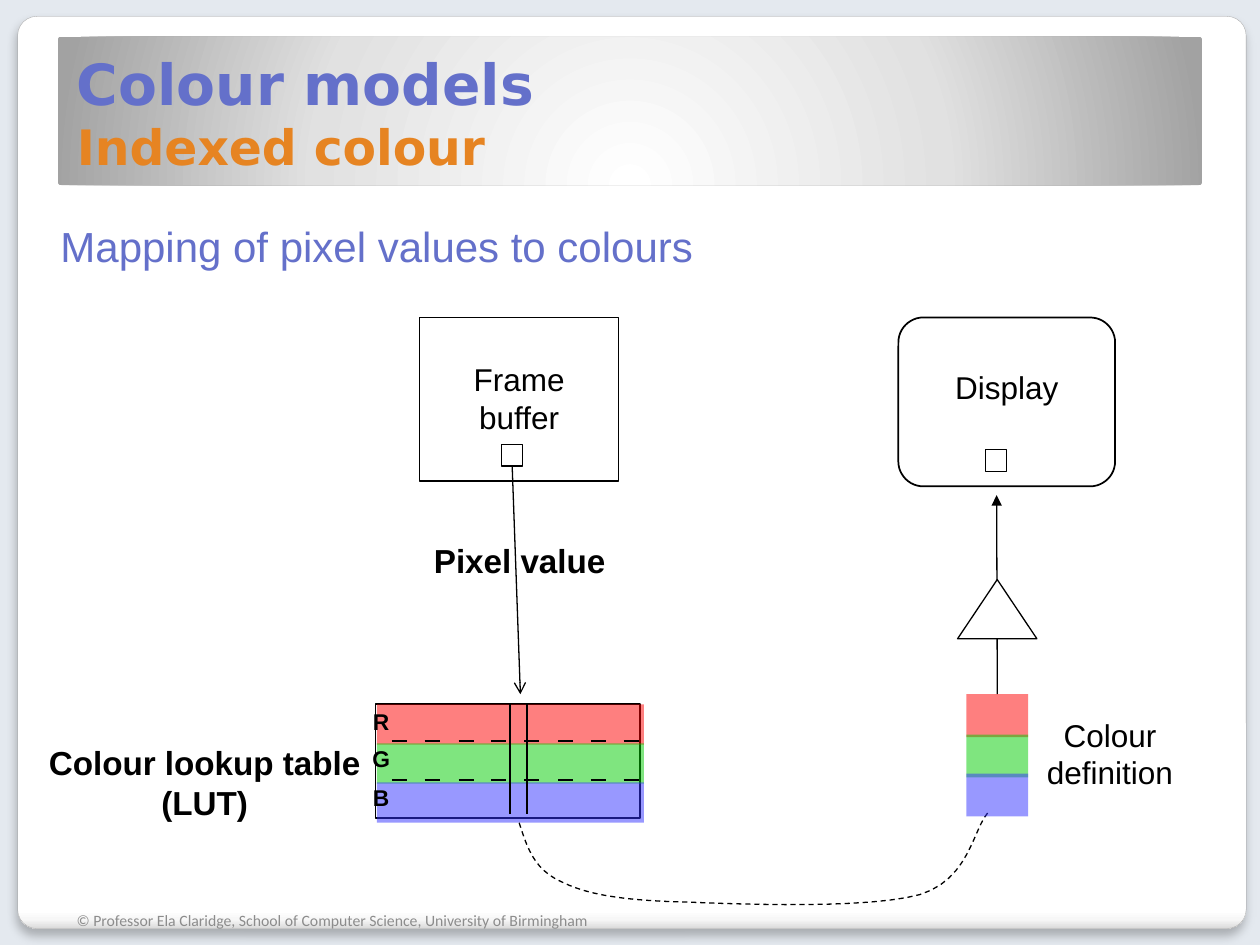
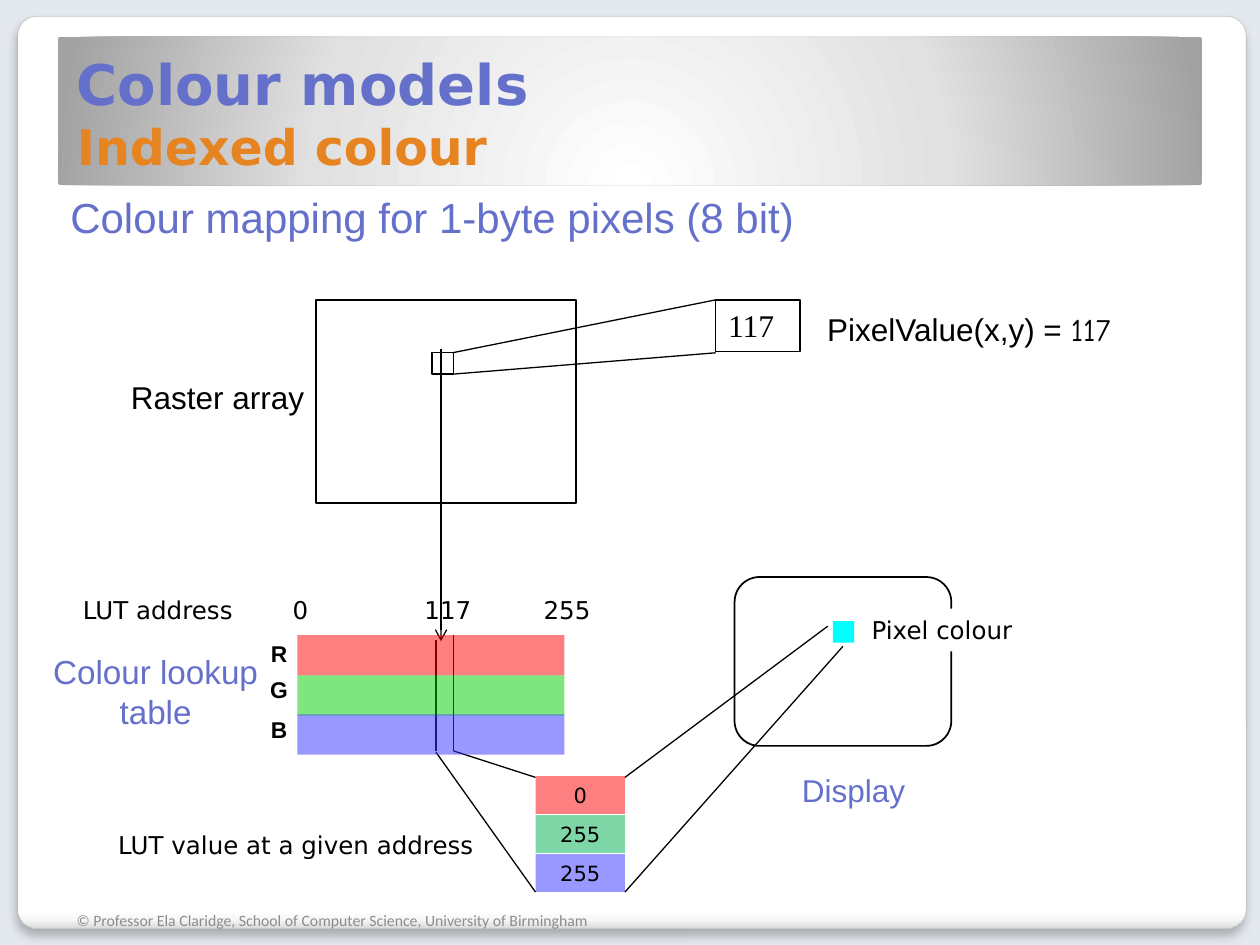
from copy import deepcopy
from dataclasses import dataclass

from pptx import Presentation
from pptx.dml.color import RGBColor
from pptx.enum.dml import MSO_LINE
from pptx.enum.shapes import MSO_CONNECTOR, MSO_SHAPE
from pptx.enum.text import MSO_ANCHOR, MSO_AUTO_SIZE, PP_ALIGN
from pptx.oxml import parse_xml
from pptx.oxml.ns import nsdecls, qn
from pptx.shapes.autoshape import Shape
from pptx.shapes.connector import Connector
from pptx.slide import Slide
from pptx.util import Pt

RECT, ROUND, PEAK = MSO_SHAPE.RECTANGLE, MSO_SHAPE.ROUNDED_RECTANGLE, MSO_SHAPE.ISOSCELES_TRIANGLE
LEFT, MID = PP_ALIGN.LEFT, PP_ALIGN.CENTER
TOP, CENTRE, BOTTOM = MSO_ANCHOR.TOP, MSO_ANCHOR.MIDDLE, MSO_ANCHOR.BOTTOM
STRAIGHT, DASH, FIXED = MSO_CONNECTOR.STRAIGHT, MSO_LINE.DASH, MSO_AUTO_SIZE.NONE
UNIT = 9144  # EMU in one px; 100 px to the inch

Area = tuple[int, int, int, int]
Point = tuple[float, float]


@dataclass(frozen=True)
class Theme:
    back: str = "E4E9EF"
    ink: str = "000000"
    paper: str = "FFFFFF"
    edge: str = "A4A4A4"
    blue: str = "6470CA"
    amber: str = "E68422"
    grey: str = "8C8C8C"
    cyan: str = "00FFFF"
    lut: tuple[str, ...] = ("FE0000", "00CC00", "3333FF")
    cells: tuple[str, ...] = ("FE0000", "00B050", "3333FF")
    sans: str = "Arial"
    wide: str = "DejaVu Sans"
    serif: str = "Times New Roman"
    comic: str = "Comic Neue"
    foot: str = "Calibri"
    tiny: int = 9
    cell: int = 12
    band: int = 13
    note: int = 14
    body: int = 18
    bold: int = 19
    head: int = 24
    thin: float = 0.75
    line: float = 1


T = Theme()
FOOTER = "© Professor Ela Claridge, School of Computer Science, University of Birmingham"


@dataclass(frozen=True)
class Label:
    area: Area
    text: str
    size: int = T.body
    font: str = T.sans
    color: str = T.ink
    bold: bool = False
    align: PP_ALIGN = MID
    wrap: bool = False
    inset: tuple[int, int] = (10, 5)
    fill: str | None = None


@dataclass(frozen=True)
class Link:
    start: Point
    end: Point
    width: float = T.thin
    tail: str | None = None


def px(*nums: float) -> list[int]:
    return [round(num * UNIT) for num in nums]


# Text

def style(run, size: float, font: str, color: str, bold: bool = False) -> None:
    run.font.size, run.font.name, run.font.bold = Pt(size), font, bold
    run.font.color.rgb = RGBColor.from_string(color)


def write(shape: Shape, text: str, *, size: float = T.body, font: str = T.sans,
          color: str = T.ink, bold: bool = False, align: PP_ALIGN = MID,
          anchor: MSO_ANCHOR = TOP, wrap: bool = True,
          inset: tuple[int, int] = (10, 5), drop: int = 0) -> None:
    """Fill a shape with one paragraph a line; drop lowers the first one."""
    frame = shape.text_frame
    frame.word_wrap, frame.auto_size, frame.vertical_anchor = wrap, FIXED, anchor
    side, edge = px(*inset)
    frame.margin_left = frame.margin_right = side
    frame.margin_top, frame.margin_bottom = edge + px(drop)[0], edge
    for num, line in enumerate(text.split("\n")):
        para = frame.add_paragraph() if num else frame.paragraphs[0]
        para.alignment = align
        run = para.add_run()
        run.text = line
        style(run, size, font, color, bold)


# Shapes and lines

def box(slide: Slide, area: Area, *, kind: MSO_SHAPE = RECT, fill: str | None = None,
        alpha: int = 100, line: float = 0, edge: str = T.ink,
        curve: float | None = None) -> Shape:
    shape = slide.shapes.add_shape(kind, *px(*area))
    shape.shadow.inherit = False
    if curve is not None:
        shape.adjustments[0] = curve
    if fill:
        shape.fill.solid()
        shape.fill.fore_color.rgb = RGBColor.from_string(fill)
        if alpha < 100:
            tone = shape._element.spPr.find(qn("a:solidFill"))[0]
            tone.append(parse_xml(f'<a:alpha {nsdecls("a")} val="{alpha * 1000}"/>'))
    else:
        shape.fill.background()
    if line:
        shape.line.width = Pt(line)
        shape.line.color.rgb = RGBColor.from_string(edge)
    else:
        shape.line.fill.background()
    return shape


def blend(shape: Shape, stops: list[tuple[int, str]], way: str) -> None:
    """Swap a solid fill for a gradient."""
    marks = "".join(f'<a:gs pos="{pos * 1000}"><a:srgbClr val="{tone}"/></a:gs>'
                    for pos, tone in stops)
    props = shape._element.spPr
    props.replace(props.find(qn("a:solidFill")), parse_xml(
        f'<a:gradFill {nsdecls("a")} rotWithShape="1"><a:gsLst>{marks}</a:gsLst>{way}</a:gradFill>'))


def label(slide: Slide, item: Label) -> Shape:
    if item.fill:
        shape = box(slide, item.area, fill=item.fill)
    else:
        shape = slide.shapes.add_textbox(*px(*item.area))
    write(shape, item.text, size=item.size, font=item.font, color=item.color,
          bold=item.bold, align=item.align, wrap=item.wrap, inset=item.inset)
    return shape


def join(slide: Slide, link: Link) -> Connector:
    wire = slide.shapes.add_connector(STRAIGHT, *px(*link.start, *link.end))
    wire.line.width = Pt(link.width)
    wire.line.color.rgb = RGBColor.from_string(T.ink)
    props = wire._element.spPr
    if link.tail:
        props.find(qn("a:ln")).append(
            parse_xml(f'<a:tailEnd {nsdecls("a")} type="{link.tail}"/>'))
    props.append(parse_xml(f'<a:effectLst {nsdecls("a")}/>'))
    return wire


def bands(slide: Slide, area: Area, span: int, tones: tuple[str, ...]) -> list[Shape]:
    """Three see-through bands; span runs from the first top to the last."""
    left, top, wide, high = area
    return [box(slide, (left, top + round(num * span / 2), wide, high), fill=tone, alpha=50)
            for num, tone in enumerate(tones)]


def marks(slide: Slide, left: int, tops: tuple[int, ...]) -> None:
    for text, top in zip("RGB", tops):
        label(slide, Label((left, top, 11, 22), text, T.band, bold=True, inset=(0, 0)))


def curve(slide: Slide, start: Point, legs: list[tuple[Point, Point, Point]]) -> None:
    """Dashed line through cubic legs, in twelve steps each."""
    dots = [start]
    for one, two, end in legs:
        base = dots[-1]
        for step in range(1, 13):
            t = step / 12
            parts = ((1 - t) ** 3, 3 * t * (1 - t) ** 2, 3 * t * t * (1 - t), t ** 3)
            dots.append(tuple(sum(part * dot[axis] for part, dot in
                                  zip(parts, (base, one, two, end))) for axis in (0, 1)))
    pen = slide.shapes.build_freeform(*px(*dots[0]), scale=1.0)
    pen.add_line_segments([tuple(px(*dot)) for dot in dots[1:]], close=False)
    shape = pen.convert_to_shape()
    shape.shadow.inherit = False
    shape.fill.background()
    shape.line.width, shape.line.dash_style = Pt(T.thin), DASH
    shape.line.color.rgb = RGBColor.from_string(T.ink)


# Shared page: panel, title band, title and footer

def page(deck, sizes: tuple[float, float]) -> Slide:
    slide = deck.slides.add_slide(deck.slide_layouts[5])
    panel = box(slide, (14, 13, 975, 724), kind=ROUND, fill=T.paper, line=0.16,
                edge=T.edge, curve=0.021)
    blend(panel, [(0, T.paper), (98, T.paper), (99, "F7F7F7"), (100, "DADADA")],
          '<a:lin ang="5400000" scaled="0"/>')
    panel._element.spPr.find(qn("a:effectLst")).append(parse_xml(
        f'<a:outerShdw {nsdecls("a")} blurRad="76200" dist="50800" dir="5400000" '
        'algn="tl" rotWithShape="0"><a:srgbClr val="000000"><a:alpha val="25000"/>'
        '</a:srgbClr></a:outerShdw>'))
    strip = box(slide, (46, 29, 908, 118), kind=ROUND, fill=T.paper, curve=0.021)
    blend(strip, [(0, T.paper), (55, "E1E1E1"), (100, "A2A2A2")],
          '<a:path path="circle"><a:fillToRect l="50000" t="175000" r="50000" b="-75000"/></a:path>')

    title = slide.shapes.title
    slide.shapes._spTree.append(title._element)
    title.left, title.top, title.width, title.height = px(51, 29, 895, 115)
    write(title, "Colour models", size=sizes[0], font=T.wide, color=T.blue, bold=True,
          align=LEFT, anchor=BOTTOM)
    para = title.text_frame.paragraphs[0]
    para.add_line_break()
    para._p[-1].append(deepcopy(para.runs[0]._r.rPr))
    run = para.add_run()
    run.text = "Indexed colour"
    style(run, sizes[1], T.wide, T.amber, True)

    foot = slide.shapes.add_textbox(*px(51, 710, 446, 40))
    write(foot, FOOTER, size=T.tiny, font=T.foot, color=T.grey, align=LEFT, anchor=CENTRE)
    return slide


# Slide 1: from frame buffer through the table to the display

def flow(deck) -> None:
    slide = page(deck, (32.4, 27.9))
    for item in (
        Label((35, 170, 528, 50), "Mapping of pixel values to colours", T.head, color=T.blue),
        Label((24, 589, 277, 64), "Colour lookup table\n(LUT)", T.bold, bold=True,
              wrap=True, inset=(0, 0)),
        Label((821, 563, 120, 70), "Colour\ndefinition"),
        Label((344, 429, 137, 32), "Pixel value", T.bold, bold=True, inset=(0, 0)),
    ):
        label(slide, item)

    # Lookup table
    box(slide, (298, 559, 210, 90), fill=T.paper, line=T.line)
    bands(slide, (299, 559, 212, 32), 62, T.lut)
    for row in (588, 619):
        for num in range(8):
            left = 311 + round(num * 26.3)
            join(slide, Link((left, row), (left + 12, row), T.line))
    for col in (405, 418):
        join(slide, Link((col, 558), (col, 646), T.line))
    marks(slide, 297, (562, 591, 622))

    # Frame buffer and display, each with one pixel
    screen = box(slide, (713, 252, 172, 134), kind=ROUND, fill=T.paper, line=T.line, curve=0.148)
    write(screen, "Display", drop=29)
    frame = box(slide, (333, 252, 158, 130), fill=T.paper, line=T.line)
    write(frame, "Frame\nbuffer", drop=29)
    pixel = box(slide, (398, 353, 17, 17), line=T.thin)
    box(slide, (782, 357, 17, 17), line=T.thin)

    # Route of the pixel value
    wire = join(slide, Link((406, 370), (413, 551), tail="arrow"))
    wire.begin_connect(pixel, 2)
    curve(slide, (412, 653), [
        ((418, 671), (423, 690), (446, 700)),
        ((468, 711), (500, 715), (547, 716)),
        ((594, 718), (690, 721), (730, 710)),
        ((769, 698), (772, 659), (784, 645)),
    ])
    swatch = bands(slide, (767, 551, 49, 34), 63, T.lut)
    wire = join(slide, Link((791, 551), (791, 393), tail="triangle"))
    wire.begin_connect(swatch[0], 0)
    box(slide, (760, 460, 63, 47), kind=PEAK, fill=T.paper, line=T.thin)


# Slide 2: one byte looked up in the table

def lookup(deck) -> None:
    slide = page(deck, (32, 28))
    for cell, text in zip(bands(slide, (425, 616, 71, 30), 62, T.cells), ("0", "255", "255")):
        write(cell, text, size=T.cell, font=T.wide, anchor=CENTRE)
    for col, top in ((346, 508), (360, 504)):
        join(slide, Link((col, top), (col, 596), T.line))

    # Display, raster array and the enlarged pixel
    box(slide, (583, 458, 172, 134), kind=ROUND, fill=T.paper, line=T.line, curve=0.148)
    box(slide, (251, 238, 206, 161), fill=T.paper, line=T.line)
    value = box(slide, (568, 238, 67, 41), line=T.thin)
    write(value, "117", font=T.serif, align=LEFT)
    box(slide, (343, 280, 17, 17), line=T.thin)

    # Labels
    note = {"size": T.note, "font": T.wide}
    for item in (
        Label((46, 147, 617, 50), "Colour mapping for 1-byte pixels (8 bit)", T.head,
              color=T.blue, align=LEFT),
        Label((41, 517, 165, 64), "Colour lookup\ntable", T.bold, color=T.blue, inset=(0, 0)),
        Label((626, 607, 103, 40), "Display", color=T.blue),
        Label((94, 295, 159, 40), "Raster array", align=LEFT),
        Label((56, 467, 141, 34), "LUT address", align=LEFT, fill=T.paper, **note),
        Label((222, 467, 33, 34), "0", fill=T.paper, **note),
        Label((327, 467, 58, 34), "117", align=LEFT, fill=T.paper, **note),
        Label((421, 467, 58, 34), "255", fill=T.paper, **note),
        Label((84, 654, 306, 34), "LUT value at a given address", align=LEFT, **note),
        Label((682, 483, 133, 34), "Pixel colour", align=LEFT, fill=T.paper, **note),
    ):
        label(slide, item)
    sum_box = label(slide, Label((642, 241, 254, 40), "PixelValue(x,y) = "))
    run = sum_box.text_frame.paragraphs[0].add_run()
    run.text = "117"
    style(run, T.body, T.comic, T.ink)

    # Sight lines from pixel to value, table to cells, cells to display
    for link in (
        Link((359, 280), (568, 238)),
        Link((359, 297), (568, 280)),
        Link((350, 277), (350, 509), tail="arrow"),
        Link((360, 596), (425, 617)),
        Link((346, 597), (425, 708)),
        Link((496, 617), (657, 497)),
        Link((496, 708), (669, 513)),
    ):
        join(slide, link)
    box(slide, (661, 493, 17, 17), fill=T.cyan)
    bands(slide, (236, 504, 212, 32), 63, T.lut)
    marks(slide, 216, (508, 536, 568))


def main() -> None:
    deck = Presentation()
    deck.slide_width, deck.slide_height = px(1000, 750)
    back = deck.slide_master.background.fill
    back.solid()
    back.fore_color.rgb = RGBColor.from_string(T.back)
    flow(deck)
    lookup(deck)
    deck.save("out.pptx")


if __name__ == "__main__":
    main()
